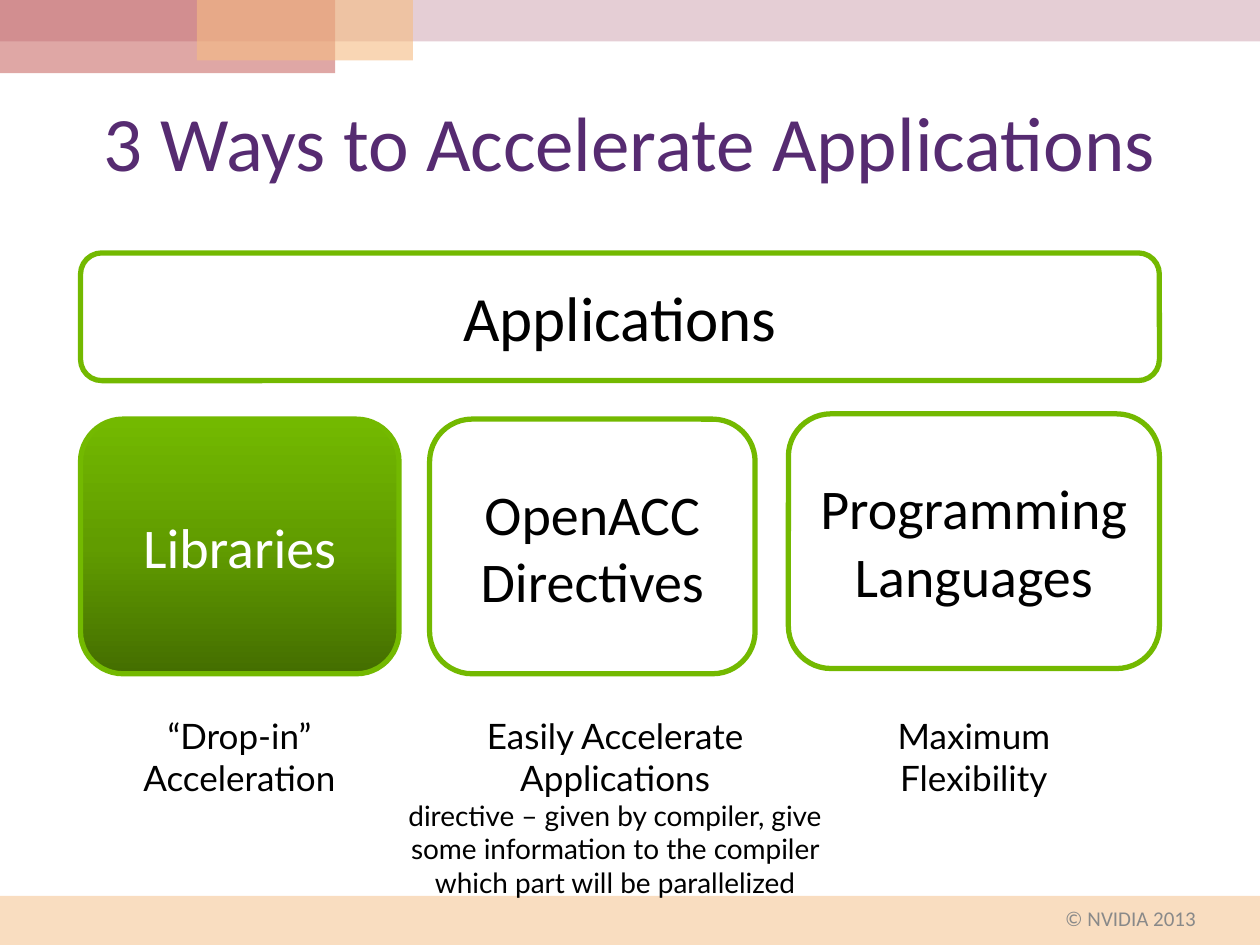
from copy import deepcopy
from dataclasses import dataclass

from lxml.etree import SubElement
from pptx import Presentation
from pptx.dml.color import RGBColor as RGB
from pptx.enum.shapes import MSO_SHAPE as Shape
from pptx.enum.text import MSO_ANCHOR as Anchor, MSO_AUTO_SIZE as Auto, PP_ALIGN as Align
from pptx.oxml.ns import qn
from pptx.util import Pt


@dataclass(frozen=True)
class Theme:
    head: str = "Calibri"
    body: str = "Lato"
    ink: str = "000000"
    white: str = "FFFFFF"
    purple: str = "562B71"
    gray: str = "898989"
    green: str = "73B900"
    shade: tuple = ("446E00", "619C00", "73B900")
    peach: str = "F5BC83"
    mauve: str = "CC9EAC"
    red: str = "C0504D"
    title: int = 44
    big: int = 36
    mid: int = 32
    note: int = 20
    small: int = 16
    foot: int = 12


T = Theme()


def points(box):
    return [Pt(v) for v in box]


def write(frame, lines, font, color, align=Align.CENTER, anchor=Anchor.MIDDLE):
    """Fill a text frame with (text, size) paragraphs."""
    look = {"word_wrap": True, "auto_size": Auto.NONE, "vertical_anchor": anchor}
    for key, value in look.items():
        setattr(frame, key, value)
    for i, (text, size) in enumerate(lines):
        para = frame.add_paragraph() if i else frame.paragraphs[0]
        para.text, para.alignment = text, align
        for run in para.runs:
            for key, value in {"name": font, "size": Pt(size)}.items():
                setattr(run.font, key, value)
            run.font.color.rgb = RGB.from_string(color)


def label(slide, box, lines, font=T.body, color=T.ink, **place):
    write(slide.shapes.add_textbox(*points(box)).text_frame, lines, font, color, **place)


def band(slide, box, color, alpha):
    """Borderless, see-through strip."""
    rect = slide.shapes.add_shape(Shape.RECTANGLE, *points(box))
    rect.shadow.inherit = False
    rect.fill.solid()
    rect.fill.fore_color.rgb = RGB.from_string(color)
    rect.line.fill.background()
    tint = next(rect.element.spPr.iter(qn("a:srgbClr")))
    SubElement(tint, qn("a:alpha")).set("val", str(alpha * 1000))


def shade(card):
    """Three-stop gradient, dark at the bottom."""
    card.fill.gradient()
    card.fill.gradient_angle = 90
    first = next(card.element.spPr.iter(qn("a:gs")))
    first.addnext(deepcopy(first))
    for stop, color, pos in zip(card.fill.gradient_stops, T.shade, (0, 0.5, 1)):
        stop.color.rgb = RGB.from_string(color)
        stop.position = pos


def tile(slide, box, text, size, dark=False):
    """Rounded box with a green border."""
    card = slide.shapes.add_shape(Shape.ROUNDED_RECTANGLE, *points(box))
    card.shadow.inherit = False
    if dark:
        shade(card)
    else:
        card.fill.solid()
        card.fill.fore_color.rgb = RGB.from_string(T.white)
    card.line.color.rgb = RGB.from_string(T.green)
    card.line.width = Pt(3)
    write(card.text_frame, [(text, size)], T.head, T.white if dark else T.ink)


def frame(slide, x, y, w, h):
    """Colour bands at the top and bottom, and the footer."""
    foot = 28
    band(slide, (x, y + h - foot, w, foot), T.peach, 50)
    band(slide, (x, y, w, 23.75), T.mauve, 50)
    band(slide, (x, y, 191.5, 41.75), T.red, 50)
    band(slide, (x + 112.5, y, 123.5, 34.5), T.peach, 60)
    label(slide, (x + 462, y + h - 25, 228.5, 19.5), [("© NVIDIA 2013", T.foot)],
          T.head, T.gray, align=Align.RIGHT)


def heading(slide, x, y, w, h):
    title = slide.shapes.title
    for key, value in zip(("left", "top", "width", "height"), points((x, y, w, h))):
        setattr(title, key, value)
    write(title.text_frame, [("3 Ways to Accelerate Applications", T.title)],
          T.head, T.purple)


def ways(slide, x, y, w, h):
    """Applications bar over the three ways, each with its note."""
    tile(slide, (x, y, w, 73), "Applications", T.big)
    deep, row, base = 145.5, y + 95, y + 260
    # offset, width, rise, text, dark
    cards = [
        (0, 182, 0, "Libraries", True),
        (199.5, 186, 0, "OpenACC\nDirectives", False),
        (w - 212, 212, 3, "Programming\nLanguages", False),
    ]
    for left, wide, rise, text, dark in cards:
        tile(slide, (x + left, row - rise, wide, deep), text, T.mid, dark)
    # offset, width, paragraphs
    notes = [
        (15, 151.5, [("“Drop-in” Acceleration", T.note)]),
        (166.5, 278, [
            ("Easily Accelerate", T.note),
            ("Applications", T.note),
            ("directive – given by compiler, give some information "
             "to the compiler which part will be parallelized", T.small),
        ]),
        (w - 212, 212, [("Maximum\nFlexibility", T.note)]),
    ]
    for left, wide, lines in notes:
        label(slide, (x + left, base, wide, y + h - base), lines, anchor=Anchor.TOP)


def main():
    deck = Presentation()
    deck.slide_width, deck.slide_height = Pt(720), Pt(540)
    slide = deck.slides.add_slide(deck.slide_layouts[5])
    frame(slide, 0, 0, 720, 540)
    heading(slide, 36, 42.5, 648, 75.5)
    ways(slide, 46, 144.5, 616.5, 374)
    deck.save("out.pptx")


if __name__ == "__main__":
    main()
